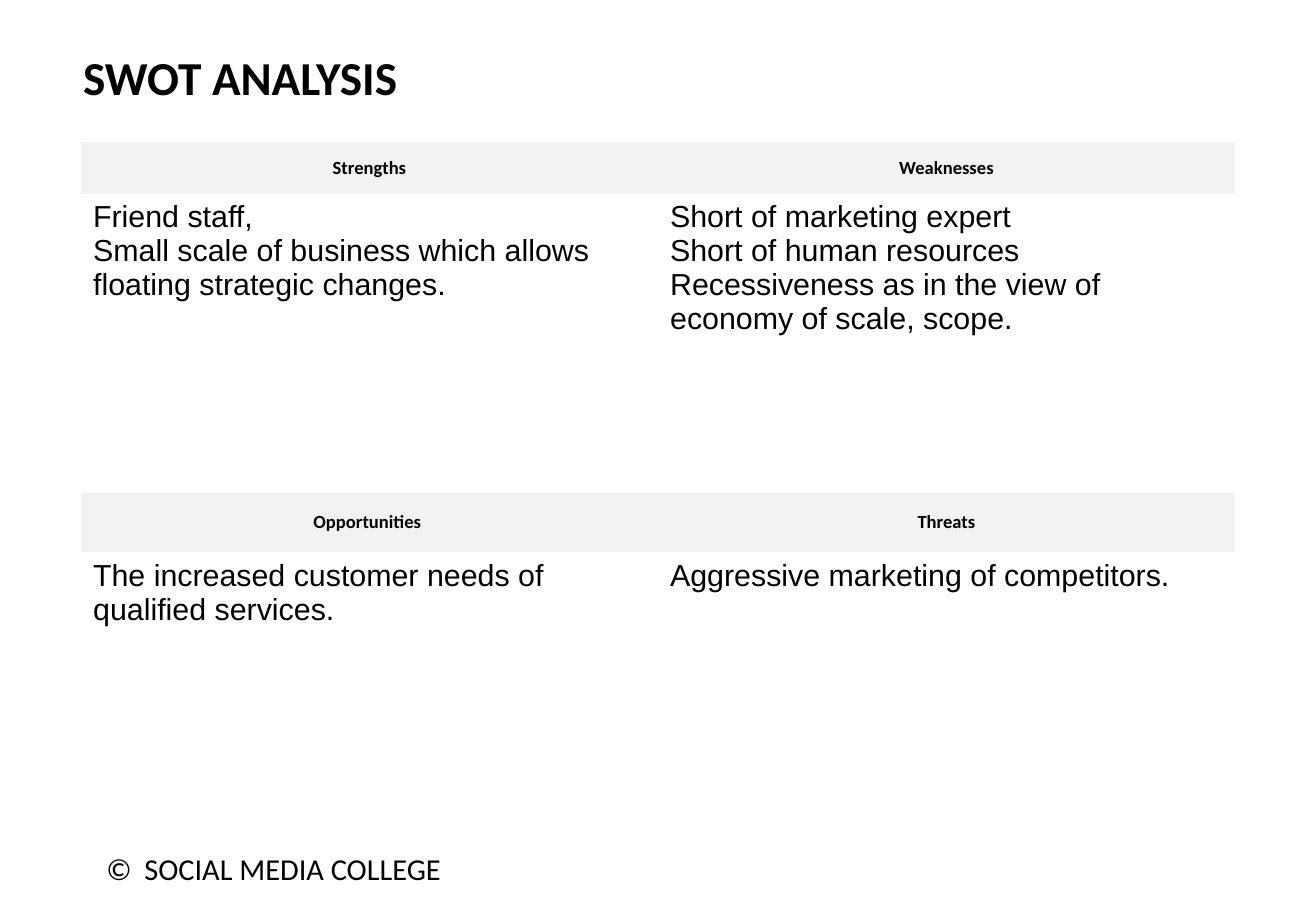
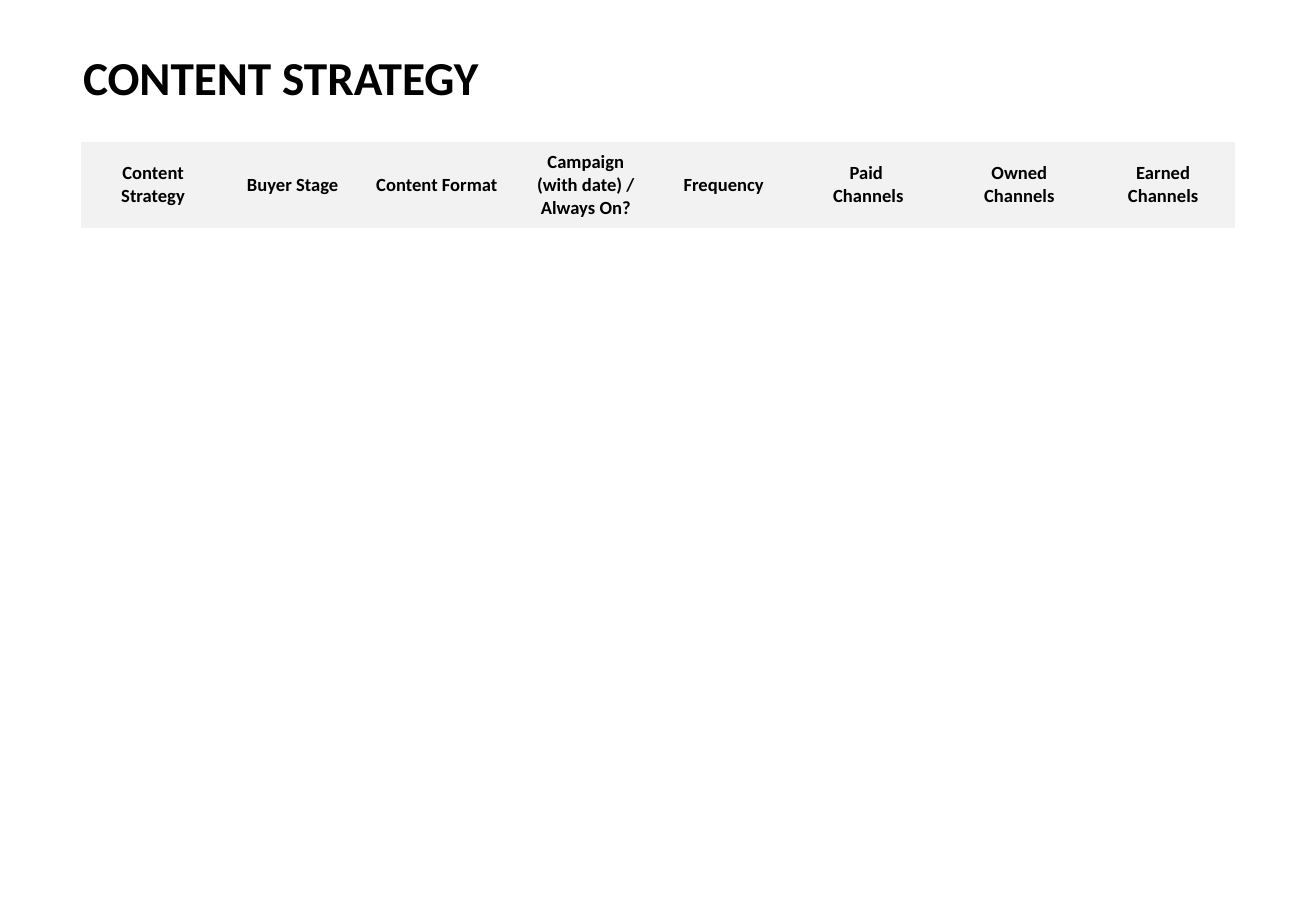
"""Builds the SWOT and content strategy planning slides."""
from lxml.etree import SubElement as Sub
from pptx import Presentation
from pptx.dml.color import RGBColor as Rgb
from pptx.enum.text import MSO_ANCHOR as Anchor, MSO_AUTO_SIZE as Auto, PP_ALIGN as Align
from pptx.oxml.ns import qn
from pptx.util import Pt

COLORS = {"text": "000000", "band": "F2F2F2"}
HEAD, BODY = "Calibri", "Arial"
LEFT, TOP, WIDTH = 48, 84, 684
PLAIN = "{2D5ABB26-0587-4C30-8999-92F81FD0307C}"

SWOT = [
    ["Strengths", "Weaknesses"],
    ["Friend staff,\nSmall scale of business which allows floating strategic changes.",
     "Short of marketing expert\nShort of human resources\n"
     "Recessiveness as in the view of economy of scale, scope."],
    ["Opportunities ", "Threats"],
    ["The increased customer needs of qualified services.",
     "Aggressive marketing of competitors."],
]
PLAN = [
    ["Content Strategy", "Buyer Stage", "Content Format",
     "Campaign (with date) / Always On?", "Frequency", "Paid \nChannels",
     "Owned Channels", "Earned Channels"],
] + [[""] * 8 for _ in range(4)]


def style(frame, face, size, bold=False, align=Align.LEFT):
    """Format all text of a frame."""
    for par in frame.paragraphs:
        par.alignment = align
        for run in par.runs:
            font = run.font
            font.name, font.size, font.bold = face, Pt(size), bold
            font.color.rgb = Rgb.from_string(COLORS["text"])


def add_page(deck, text):
    """Add a slide with its title."""
    page = deck.slides.add_slide(deck.slide_layouts[5])
    title = page.shapes.title
    title.left, title.top, title.width, title.height = Pt(42), Pt(25), Pt(636), Pt(41)
    frame = title.text_frame
    frame.text = text
    frame.vertical_anchor = Anchor.MIDDLE
    frame.auto_size = Auto.SHAPE_TO_FIT_TEXT
    style(frame, HEAD, 28, True)
    return page


def add_footer(page, mark, owner):
    """Add the copyright line with a tab after its mark."""
    box = page.shapes.add_textbox(Pt(56), Pt(500.5), Pt(640), Pt(29))
    frame = box.text_frame
    frame.word_wrap = True
    par = frame.paragraphs[0]
    par.text = f"{mark}\t{owner}"
    tabs = Sub(par._p.get_or_add_pPr(), qn("a:tabLst"))
    Sub(tabs, qn("a:tab"), pos=str(Pt(22.5)), algn="l")
    style(frame, HEAD, 18)


def fill_cell(cell, text, head):
    """Write one cell as a heading band or as body text."""
    cell.text = text
    if head:
        cell.fill.solid()
        cell.fill.fore_color.rgb = Rgb.from_string(COLORS["band"])
        cell.vertical_anchor = Anchor.MIDDLE
        style(cell.text_frame, HEAD, 11, True, Align.CENTER)
    else:
        cell.fill.background()
        style(cell.text_frame, BODY, 18)


def add_grid(page, data, widths, heights, heads):
    """Add a plain table whose heading rows are shaded."""
    frame = page.shapes.add_table(len(data), len(widths), Pt(LEFT), Pt(TOP),
                                  Pt(WIDTH), Pt(sum(heights)))
    grid = frame.table
    grid.first_row = grid.horz_banding = False
    grid._tbl.tblPr.find(qn("a:tableStyleId")).text = PLAIN
    for col, width in zip(grid.columns, widths):
        col.width = Pt(width)
    for num, (row, height) in enumerate(zip(grid.rows, heights)):
        row.height = Pt(height)
        for cell, text in zip(row.cells, data[num]):
            fill_cell(cell, text, num in heads)


def main():
    """Build and save the deck."""
    deck = Presentation()
    deck.slide_width, deck.slide_height = Pt(780), Pt(540)

    page = add_page(deck, "SWOT ANALYSIS")
    add_footer(page, "©", "SOCIAL MEDIA COLLEGE")
    add_grid(page, SWOT, [WIDTH / 2] * 2, [31, 177, 35.5, 177], {0, 2})

    page = add_page(deck, "CONTENT STRATEGY")
    widths = [85.5, 80, 91, 85.5, 78, 93.5, 85.5, 85]
    add_grid(page, PLAN, widths, [51] + [92] * 4, {0})

    deck.save("out.pptx")


if __name__ == "__main__":
    main()
